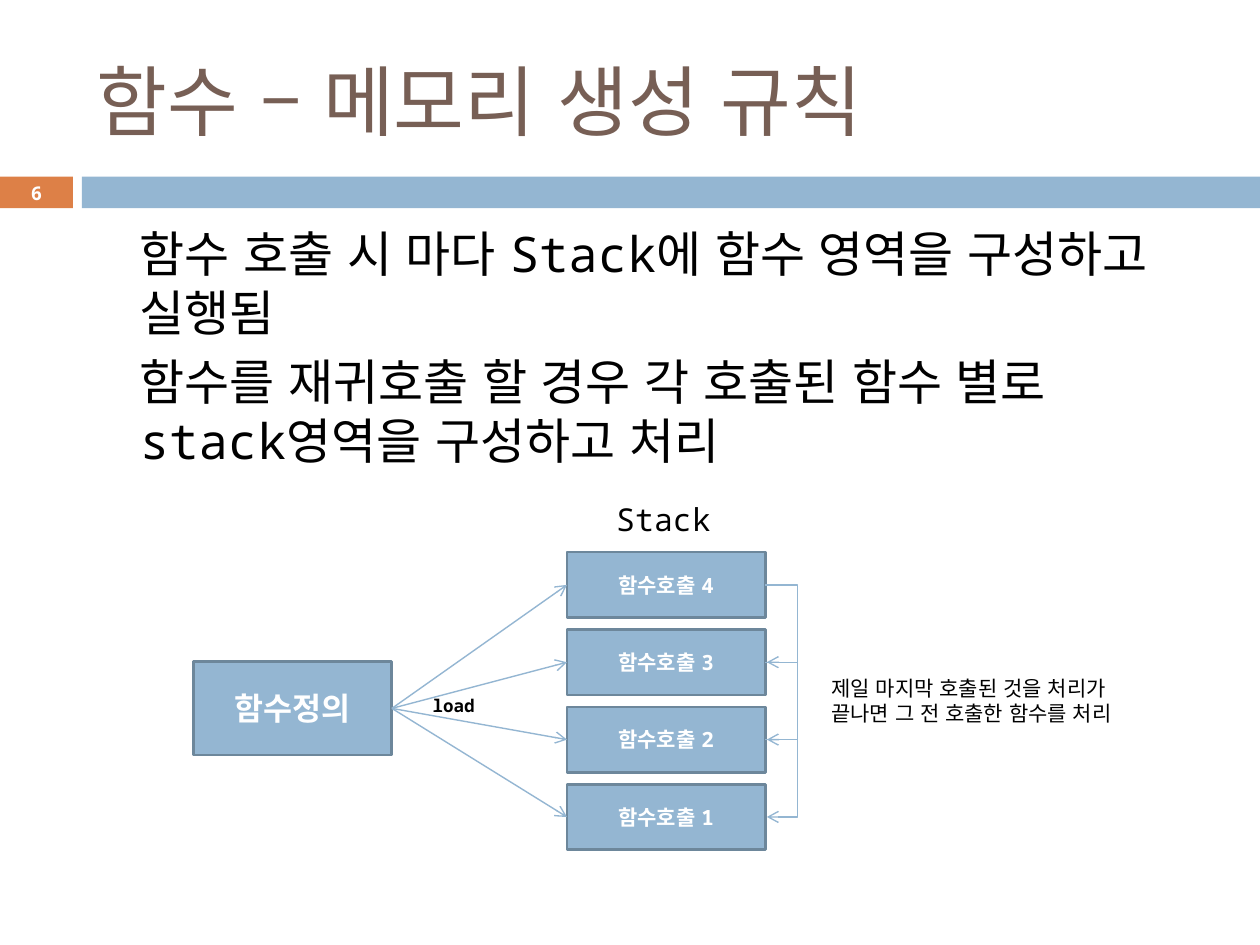
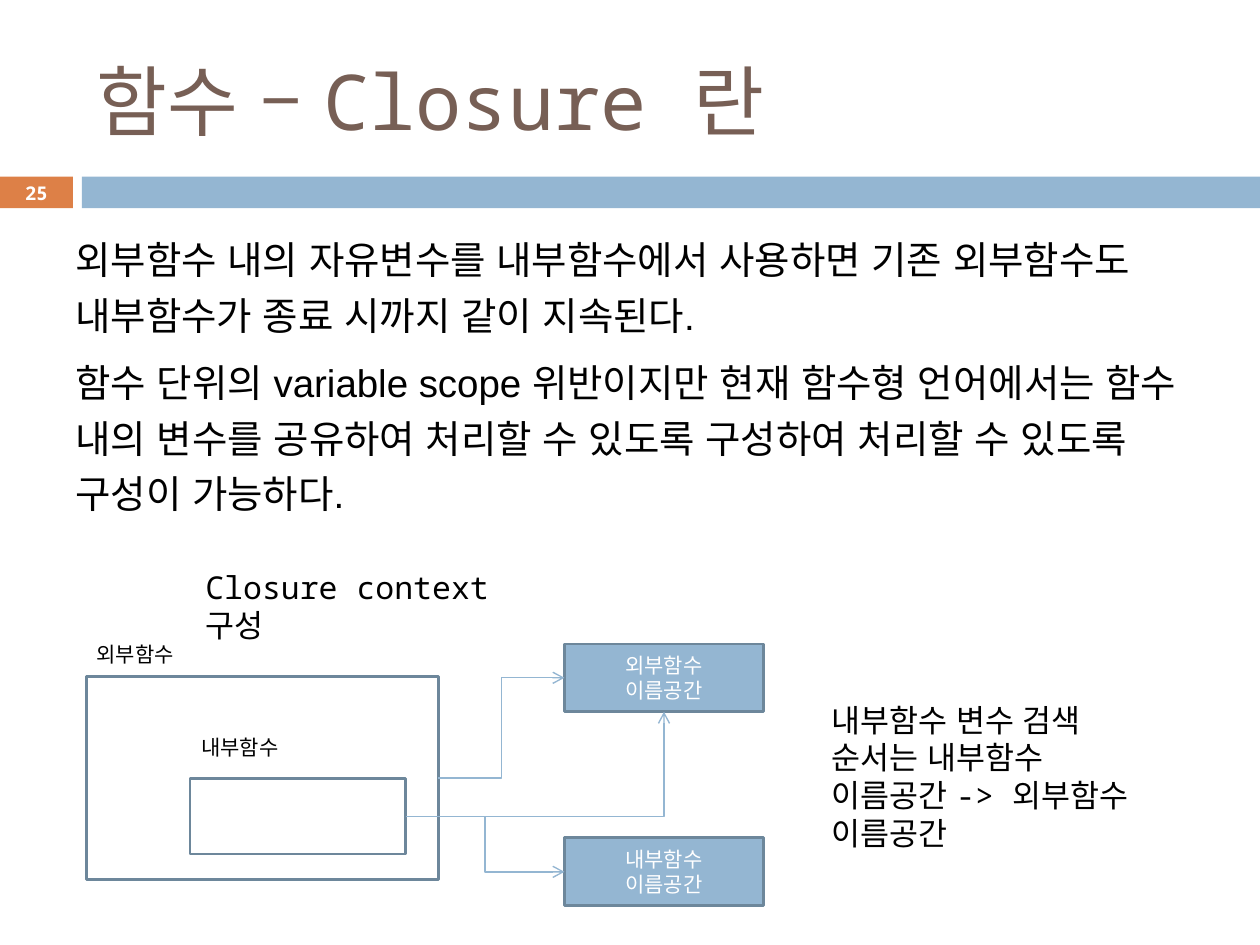
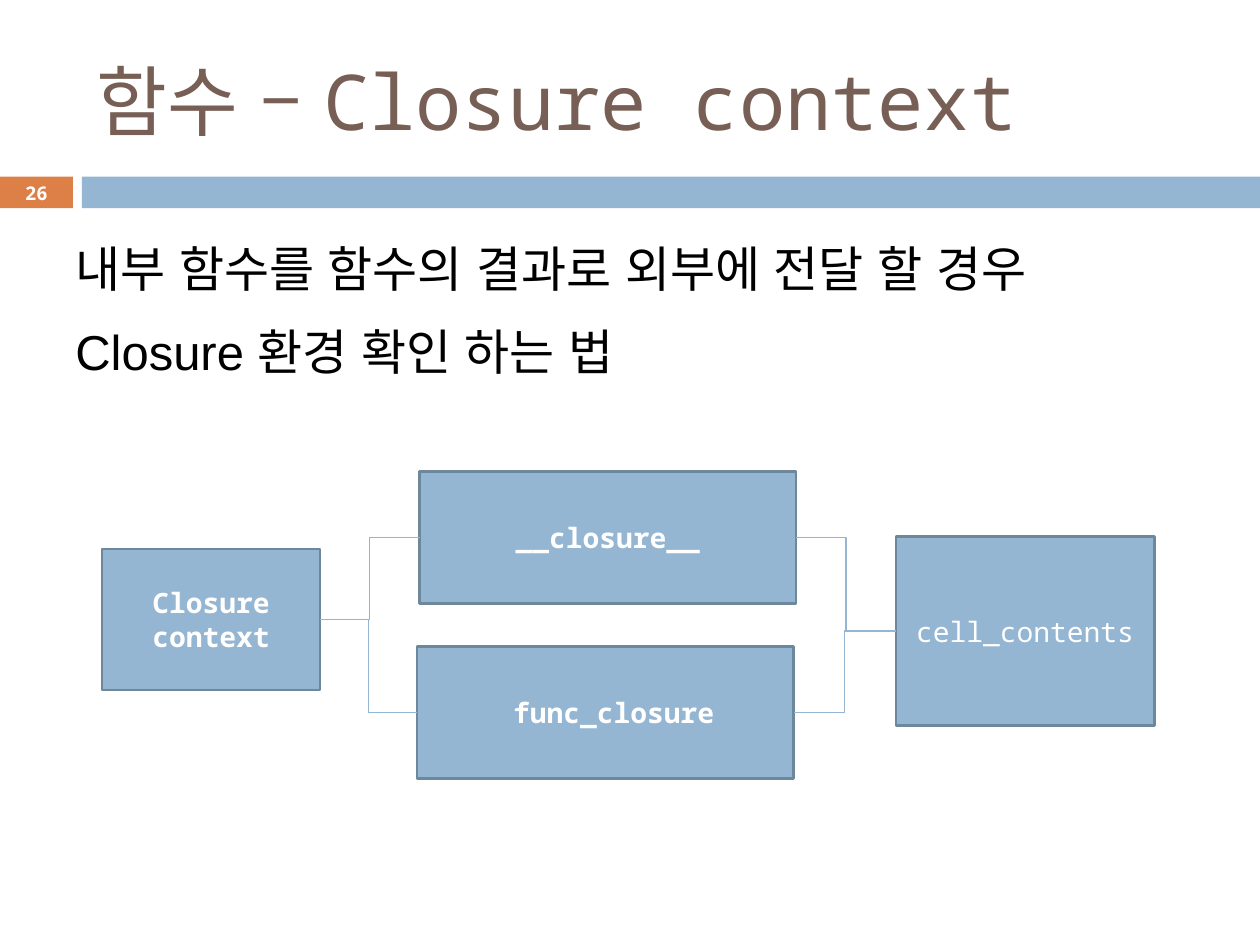
from lxml.etree import SubElement
from pptx import Presentation
from pptx.dml.color import RGBColor
from pptx.enum.lang import MSO_LANGUAGE_ID
from pptx.enum.shapes import MSO_CONNECTOR, MSO_SHAPE
from pptx.enum.text import MSO_ANCHOR, MSO_AUTO_SIZE, PP_ALIGN
from pptx.oxml.ns import qn
from pptx.util import Cm, Pt

COLORS = {
    "title": "775F55",
    "text": "000000",
    "white": "FFFFFF",
    "accent": "DD8047",
    "blue": "94B6D2",
    "outline": "6D879B",
}
MONO, SANS = "Noto Sans Mono", "Arial"
TITLE_ONLY = 5
TOP, LEFT, BOTTOM, RIGHT = range(4)


def color(name):
    return RGBColor.from_string(COLORS[name])


def side(box, site):
    """Return the middle of one side of a box."""
    x = {LEFT: box.left, RIGHT: box.left + box.width}.get(site, box.left + box.width // 2)
    y = {TOP: box.top, BOTTOM: box.top + box.height}.get(site, box.top + box.height // 2)
    return x, y


class Deck:
    def __init__(self):
        self.prs = Presentation()
        self.prs.slide_width, self.prs.slide_height = Cm(25.4), Cm(19.05)
        self.slide = None

    def new_slide(self, title, number):
        self.slide = self.prs.slides.add_slide(self.prs.slide_layouts[TITLE_ONLY])
        self.rect((0, 3.56, 1.47, 0.64), [number], 10.8, True, "accent", None, inset=0)
        self.rect((1.65, 3.56, 23.75, 0.64), line=None)
        heading = self.slide.shapes.title
        heading.left, heading.top, heading.width, heading.height = map(
            Cm, (1.7, 0.64, 22.66, 2.74))
        heading.text_frame.auto_size = MSO_AUTO_SIZE.NONE
        self.set_text(heading.text_frame, [title], 44, "title", anchor=MSO_ANCHOR.MIDDLE)

    def set_text(self, frame, lines, size, ink="text", bold=False, align=PP_ALIGN.LEFT,
                 anchor=MSO_ANCHOR.TOP, face=MONO, before=0, spacing=1.0):
        frame.word_wrap = True
        frame.vertical_anchor = anchor
        frame.text = "\n".join(lines)
        for paragraph in frame.paragraphs:
            paragraph.alignment = align
            paragraph.space_before = Pt(before)
            paragraph.line_spacing = spacing
            font = paragraph.font
            font.name, font.size, font.bold = face, Pt(size), bold
            font.color.rgb = color(ink)
            font.language_id = MSO_LANGUAGE_ID.KOREAN

    def text(self, area, lines, size, **style):
        frame = self.slide.shapes.add_textbox(*map(Cm, area)).text_frame
        self.set_text(frame, lines, size, **style)

    def rect(self, area, lines=(), size=12, bold=False, fill="blue", line="outline",
             inset=0.25):
        box = self.slide.shapes.add_shape(MSO_SHAPE.RECTANGLE, *map(Cm, area))
        box.shadow.inherit = False
        box.fill.solid()
        box.fill.fore_color.rgb = color(fill)
        if line:
            box.line.color.rgb = color(line)
            box.line.width = Pt(1.5)
        else:
            box.line.fill.background()
        if lines:
            frame = box.text_frame
            frame.margin_left = frame.margin_right = Cm(inset)
            self.set_text(frame, lines, size, "white", bold, PP_ALIGN.CENTER,
                          MSO_ANCHOR.MIDDLE)
        return box

    def connector(self, kind, start, end, arrow):
        link = self.slide.shapes.add_connector(kind, *start, *end)
        link.line.color.rgb = color("blue")
        link.line.width = Pt(0.79)
        if arrow:
            SubElement(link.get_or_add_ln(), qn("a:tailEnd"), type="arrow")
        SubElement(link._element.spPr, qn("a:effectLst"))
        return link

    def straight(self, source, target):
        link = self.connector(MSO_CONNECTOR.STRAIGHT, side(source, RIGHT),
                              side(target, LEFT), True)
        link.begin_connect(source, RIGHT)
        link.end_connect(target, LEFT)

    def elbow(self, start, end, arrow=True, via=None, single_turn=False):
        """Draw a bent line; via is the x of its vertical part, halfway if not given."""
        link = self.connector(MSO_CONNECTOR.ELBOW, start, end, arrow)
        geometry = link._element.spPr.find(qn("a:prstGeom"))
        if single_turn:
            geometry.set("prst", "bentConnector2")
        if via is not None:
            share = round((via - start[0]) / (end[0] - start[0]) * 100000)
            SubElement(geometry.find(qn("a:avLst")), qn("a:gd"),
                       name="adj1", fmla=f"val {share}")


def memory_slide(deck):
    deck.new_slide("함수 – 메모리 생성 규칙", "6")
    deck.text((2.57, 4.39, 21.59, 6.15), [
        "함수 호출 시 마다 Stack에 함수 영역을 구성하고 실행됨",
        "함수를 재귀호출 할 경우 각 호출된 함수 별로 stack영역을 구성하고 처리",
    ], 28, before=5.5)
    definition = deck.rect((3.9, 13.34, 4, 1.88), ["함수정의"], 18, True)
    calls = [deck.rect((11.43, 11.13 + 1.56 * row, 4, 1.32), [f"함수호출 {4 - row}"], 12, True)
             for row in range(4)]
    deck.text((11.38, 9.96, 3.99, 1.02), ["Stack"], 18, align=PP_ALIGN.CENTER)
    for call in calls:
        deck.straight(definition, call)
    for later, earlier in zip(calls, calls[1:]):
        x, y = side(earlier, RIGHT)
        deck.elbow(side(later, RIGHT), (x + Cm(0.03), y), via=Cm(16.08))
    deck.text((16.51, 13.49, 7.19, 1.27),
              ["제일 마지막 호출된 것을 처리가 끝나면 그 전 호출한 함수를 처리"], 12)
    deck.text((7.95, 13.89, 2.39, 0.69), ["load"], 10, bold=True, align=PP_ALIGN.CENTER)


def closure_slide(deck):
    deck.new_slide("함수 – Closure 란", "25")
    deck.text((1.27, 4.45, 22.86, 6.88), [
        "외부함수 내의 자유변수를 내부함수에서 사용하면 기존 외부함수도 "
        "내부함수가 종료 시까지 같이 지속된다.",
        "함수 단위의 variable scope 위반이지만 현재 함수형 언어에서는 함수 내의 변수를 "
        "공유하여 처리할 수 있도록 구성하여 처리할 수 있도록 구성이 가능하다.",
    ], 22, face=SANS, before=7, spacing=1.2)
    outer = deck.rect((1.75, 13.64, 7.09, 4.09), fill="white")
    inner = deck.rect((3.83, 15.7, 4.35, 1.52), fill="white")
    deck.text((1.7, 12.8, 2.41, 0.71), ["외부함수"], 12)
    deck.text((3.81, 14.68, 2.41, 0.71), ["내부함수"], 12)
    outer_names, inner_names = (
        deck.rect((11.38, top, 4.01, 1.37), [owner, "이름공간"])
        for owner, top in (("외부함수", 12.98), ("내부함수", 16.89)))
    deck.elbow(side(inner, RIGHT), side(inner_names, LEFT))
    deck.elbow(side(inner, RIGHT), side(outer_names, BOTTOM), single_turn=True)
    deck.elbow(side(outer, RIGHT), side(outer_names, LEFT))
    deck.text((3.89, 11.33, 7.39, 1.02), ["Closure context 구성"], 18)
    deck.text((16.51, 14, 7.01, 3.33),
              ["내부함수 변수 검색 순서는 내부함수 이름공간 -> 외부함수 이름공간"], 18)


def context_slide(deck):
    deck.new_slide("함수 – Closure context", "26")
    deck.text((1.27, 4.45, 22.86, 3.48), [
        "내부 함수를 함수의 결과로 외부에 전달 할 경우",
        "Closure 환경 확인 하는 법",
    ], 28, face=SANS, before=7, spacing=1.2)
    context = deck.rect((2.06, 11.07, 4.39, 2.84), ["Closure", "context"], 16, True)
    contents = deck.rect((18.06, 10.82, 5.21, 3.81), ["cell_contents"], 16)
    for area, name in (((8.46, 9.5, 7.59, 2.67), "__closure__"),
                       ((8.41, 13.03, 7.59, 2.67), " func_closure")):
        attribute = deck.rect(area, [name], 16, True)
        deck.elbow(side(context, RIGHT), side(attribute, LEFT), arrow=False)
        deck.elbow(side(attribute, RIGHT), side(contents, LEFT), arrow=False)


def main():
    deck = Deck()
    memory_slide(deck)
    closure_slide(deck)
    context_slide(deck)
    deck.prs.save("out.pptx")


if __name__ == "__main__":
    main()
